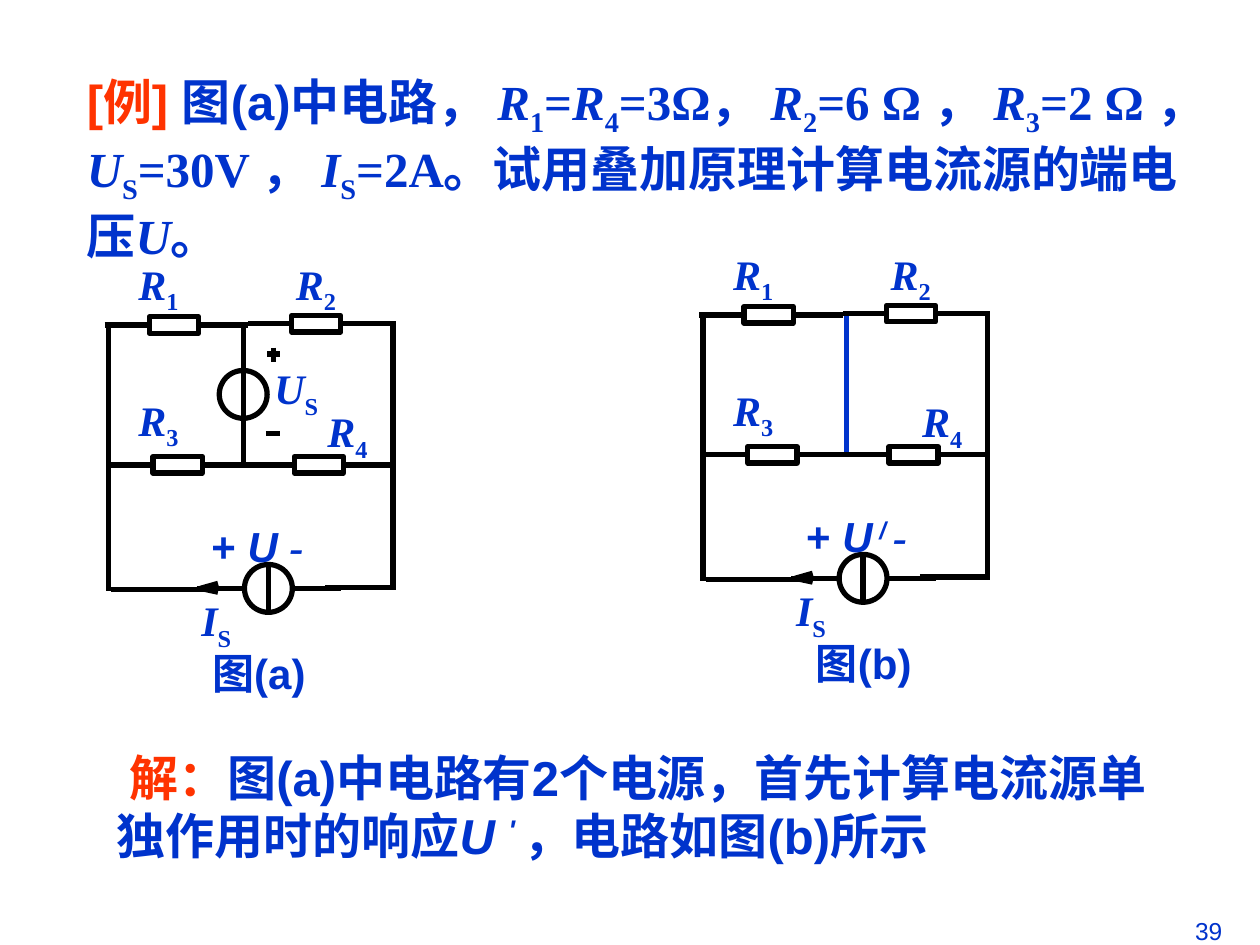
from lxml import etree
from pptx import Presentation
from pptx.dml.color import RGBColor
from pptx.enum import shapes, text
from pptx.oxml.ns import qn
from pptx.util import Inches, Pt

BLUE = RGBColor(0x00, 0x33, 0xCC)
RED = RGBColor(0xFF, 0x33, 0x00)
BLACK = RGBColor(0x00, 0x00, 0x00)
WHITE = RGBColor(0xFF, 0xFF, 0xFF)
SERIF = "Times New Roman"
SANS = "Arial"


def add_text(parent, box, runs, size=24, font=SANS, bold=True, align=None):
    tf = parent.add_textbox(*map(Inches, box)).text_frame
    tf.word_wrap = True
    p = tf.paragraphs[0]
    p.alignment = align
    p.font.size = Pt(size)
    p.font.name = font
    p.font.bold = bold
    p.font.color.rgb = BLUE
    for words, style in runs:
        r = p.add_run()
        r.text = words
        if "i" in style:
            r.font.italic = True
        if "t" in style:
            r.font.name = SERIF
        if "a" in style:
            r.font.name = SANS
        if "r" in style:
            r.font.color.rgb = RED
        if "_" in style:
            r._r.get_or_add_rPr().set("baseline", "-25000")
        if "^" in style:
            r._r.get_or_add_rPr().set("baseline", "30000")
    return p


def add_line(parent, x1, y1, x2, y2, color=BLACK):
    c = parent.add_connector(shapes.MSO_CONNECTOR.STRAIGHT, *map(Inches, (x1, y1, x2, y2)))
    c.line.color.rgb = color
    c.line.width = Pt(3)
    etree.SubElement(c._element.spPr, qn("a:effectLst"))


prs = Presentation()
prs.slide_width = Inches(10)
prs.slide_height = Inches(7.5)
s = prs.slides.add_slide(prs.slide_layouts[6])

add_text(s.shapes, (7.3, 7.22, 2.5, 0.52), [("39", "")], 14, bold=False, align=text.PP_ALIGN.RIGHT)

solution = [
    ("解：", "r"), ("图(a)中电路有2个电源，首先计算电流源单独作用时的响应", ""),
    ("U ", "i"), ("' ", "i^"), ("，电路如图(b)所示", ""),
]
p = add_text(s.shapes, (0.83, 5.88, 8.75, 1.04), solution, 28)
p._p.get_or_add_pPr().set("indent", str(Inches(0.1)))

problem = [
    ("[例] ", "r"), ("图(a)中电路， ", ""),
    ("R", "ti"), ("1", "t_"), ("=", "t"), ("R", "ti"), ("4", "t_"), ("=3Ω， ", "t"),
    ("R", "ti"), ("2", "t_"), ("=6 Ω ， ", "t"),
    ("R", "ti"), ("3", "t_"), ("=2 Ω ", "t"), ("，", ""),
    ("U", "ti"), ("S", "t_"), ("=30V ， ", "t"),
    ("I", "ti"), ("S", "t_"), ("=2A。试用叠加原理计算电流源的端电压", "t"),
    ("U", "ti"), ("。", "t"),
]
add_text(s.shapes, (0.59, 0.52, 9.08, 1.63), problem, 28)

wires = [
    (0.83, 2.58, 1.97, 2.58), (1.97, 2.57, 3.11, 2.57),
    (0.87, 3.69, 2.01, 3.69), (2, 3.69, 3.13, 3.69),
    (0.86, 2.57, 0.86, 4.69), (3.12, 2.55, 3.12, 4.68),
    (0.88, 4.68, 1.64, 4.68), (1.56, 4.67, 2.71, 4.67), (2.58, 4.66, 3.11, 4.66),
    (1.59, 4.67, 1.73, 4.7), (1.59, 4.67, 1.73, 4.63), (1.59, 4.67, 1.87, 4.67),
]
resistors = [(1.38, 2.58), (2.51, 2.57), (1.41, 3.69), (2.53, 3.69)]
labels = [
    ("R", "1", 1, 2), ("R", "2", 2.25, 2), ("R", "3", 1, 3.08),
    ("R", "4", 2.5, 3.17), ("I", "S", 1.5, 4.67),
]
voltage_a = [("+ ", ""), ("U ", "i"), ("-", "it")]
voltage_b = [("+ ", ""), ("U", "i"), (" / ", "i^"), ("-", "it")]

for name, dx, dy, voltage, voltage_x, caption_x in [
    ("a", 0, 0, voltage_a, 1.58, 1.14),
    ("b", 4.72, -0.08, voltage_b, 6.3, 5.94),
]:
    g = s.shapes.add_group_shape().shapes
    for x1, y1, x2, y2 in wires:
        add_line(g, x1 + dx, y1 + dy, x2 + dx, y2 + dy)

    parts = [(shapes.MSO_SHAPE.RECTANGLE, x, y, 0.39, 0.13) for x, y in resistors]
    parts.append((shapes.MSO_SHAPE.OVAL, 2.13, 4.67, 0.38, 0.38))
    if name == "a":
        parts.append((shapes.MSO_SHAPE.OVAL, 1.93, 3.13, 0.38, 0.38))
    for kind, x, y, w, h in parts:
        sp = g.add_shape(kind, Inches(x + dx - w / 2), Inches(y + dy - h / 2), Inches(w), Inches(h))
        sp.shadow.inherit = False
        sp.fill.solid()
        sp.fill.fore_color.rgb = WHITE
        sp.line.color.rgb = BLACK
        sp.line.width = Pt(3)
    add_line(g, 2.13 + dx, 4.86 + dy, 2.13 + dx, 4.49 + dy)

    if name == "a":
        add_line(g, 1.93, 2.56, 1.93, 3.71)
        add_line(g, 2.12, 2.81, 2.22, 2.81)
        add_line(g, 2.17, 2.76, 2.17, 2.87)
        add_line(g, 2.11, 3.44, 2.22, 3.44)
        add_text(g, (2.08, 2.83, 0.83, 0.56), [("U", "i"), ("S", "_")], font=SERIF)
    else:
        add_line(g, 6.72, 2.51, 6.72, 3.59, BLUE)

    for symbol, index, x, y in labels:
        add_text(g, (x + dx, y + dy, 0.83, 0.56), [(symbol, "i"), (index, "_")], font=SERIF)
    add_text(g, (voltage_x, 4.08 + dy, 1.08, 0.5), voltage)
    add_text(g, (caption_x, 5.09 + dy, 1.83, 0.5), [(f"图({name})", "")], align=text.PP_ALIGN.CENTER)

prs.save("out.pptx")
